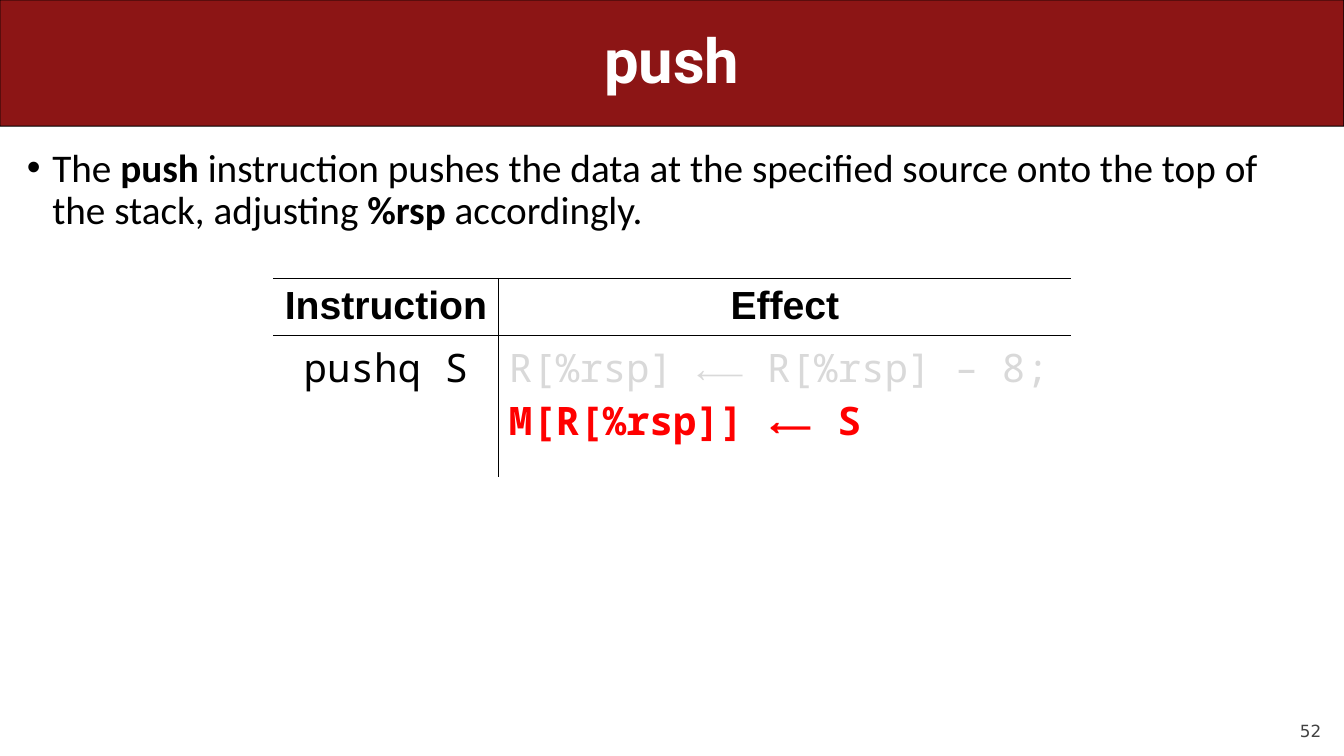
from lxml import etree
from pptx import Presentation, util as u
from pptx.dml.color import RGBColor
from pptx.enum import shapes, text
from pptx.oxml.ns import qn

BLACK, WHITE, CARDINAL = "000000", "FFFFFF", "8C1515"
GREY, RED, PALE = "424242", "FF0000", "D9D9D9"
LEFT, CENTER, RIGHT = text.PP_ALIGN.LEFT, text.PP_ALIGN.CENTER, text.PP_ALIGN.RIGHT
TOP, MIDDLE, BOTTOM = text.MSO_ANCHOR.TOP, text.MSO_ANCHOR.MIDDLE, text.MSO_ANCHOR.BOTTOM


def color(hex_code):
    return RGBColor.from_string(hex_code)


def style_font(font, name, size, hex_code, bold=False):
    font.name, font.size, font.bold = name, u.Pt(size), bold
    font.color.rgb = color(hex_code)


def add_runs(paragraph, pieces, name, size, hex_code):
    """Add (wording, bold) pieces that share one font."""
    for wording, bold in pieces:
        run = paragraph.add_run()
        run.text = wording
        style_font(run.font, name, size, hex_code, bold)


def add_text_box(slide, left, top, width, height, anchor, align):
    """Add a wrapping text box and return its first paragraph."""
    box = slide.shapes.add_textbox(u.Cm(left), u.Cm(top), u.Cm(width), u.Cm(height))
    box.text_frame.word_wrap = True
    box.text_frame.vertical_anchor = anchor
    paragraph = box.text_frame.paragraphs[0]
    paragraph.alignment = align
    return box.text_frame, paragraph


def add_banner(slide, width):
    banner = slide.shapes.add_shape(
        shapes.MSO_SHAPE.ROUNDED_RECTANGLE, 0, 0, width, u.Cm(3.18))
    banner.adjustments[0] = 0.001
    banner.shadow.inherit = False
    banner.fill.solid()
    banner.fill.fore_color.rgb = color(CARDINAL)
    banner.line.color.rgb = color(BLACK)
    banner.line.width = u.Pt(0.75)


def add_title(slide, wording):
    _, paragraph = add_text_box(slide, 1.27, 0, 31.32, 3.18, MIDDLE, CENTER)
    paragraph.line_spacing = 0.9
    add_runs(paragraph, [(wording, True)], "Roboto", 44, WHITE)


def add_bullet(slide, pieces):
    _, paragraph = add_text_box(slide, 0.43, 3.61, 32.82, 14.4, TOP, LEFT)
    paragraph.line_spacing = 0.9
    paragraph.space_before = u.Pt(10)
    properties = paragraph._p.get_or_add_pPr()
    properties.set("marL", str(u.Cm(0.64)))
    properties.set("indent", str(-u.Cm(0.64)))
    etree.SubElement(properties, qn("a:buFont"), typeface="Arial")
    etree.SubElement(properties, qn("a:buChar"), char="•")
    add_runs(paragraph, pieces, "Calibri", 28, BLACK)


def add_slide_number(slide, number):
    frame, paragraph = add_text_box(slide, 30.48, 17.65, 2.82, 1.02, BOTTOM, RIGHT)
    frame.margin_left = frame.margin_right = frame.margin_top = frame.margin_bottom = 0
    paragraph.space_before = u.Pt(5)
    add_runs(paragraph, [(number, False)], "DejaVu Sans", 12, GREY)


def set_borders(cell, ruled_sides):
    """Draw the sides named among L, R, T, B and clear the others."""
    properties = cell._tc.get_or_add_tcPr()
    for side in "LRTB":
        line = etree.SubElement(properties, qn(f"a:ln{side}"), w=str(u.Pt(1)))
        if side in ruled_sides:
            fill = etree.SubElement(line, qn("a:solidFill"))
            etree.SubElement(fill, qn("a:srgbClr"), val=BLACK)
        else:
            etree.SubElement(line, qn("a:noFill"))


def fill_cell(cell, lines, font_name, align, ruled_sides):
    """Write (wording, colour, bold) lines into a ruled cell without fill."""
    set_borders(cell, ruled_sides)
    cell.fill.background()
    cell.text_frame.text = "\n".join(line[0] for line in lines)
    for paragraph, (_, hex_code, bold) in zip(cell.text_frame.paragraphs, lines):
        paragraph.alignment = align
        style_font(paragraph.runs[0].font, font_name, 28, hex_code, bold)


def add_instruction_table(slide):
    column_widths, row_heights = (5.69, 14.42), (1.36, 3.56)
    table = slide.shapes.add_table(
        2, 2, u.Cm(6.88), u.Cm(7.02),
        u.Cm(sum(column_widths)), u.Cm(sum(row_heights))).table
    table.first_row = table.horz_banding = False
    for column, width in zip(table.columns, column_widths):
        column.width = u.Cm(width)
    for row, height in zip(table.rows, row_heights):
        row.height = u.Cm(height)

    for index, (heading, sides) in enumerate((("Instruction", "RTB"), ("Effect", "LTB"))):
        fill_cell(table.cell(0, index), [(heading, BLACK, True)], "Arial", CENTER, sides)
    mono = "Noto Sans Mono"
    fill_cell(table.cell(1, 0), [("pushq S", BLACK, False)], mono, CENTER, "RT")
    effects = [("R[%rsp] ⟵ R[%rsp] – 8;", PALE, False), ("M[R[%rsp]] ⟵ S", RED, True)]
    fill_cell(table.cell(1, 1), effects, mono, LEFT, "LT")


def main():
    presentation = Presentation()
    presentation.slide_width, presentation.slide_height = u.Cm(33.87), u.Cm(19.05)
    slide = presentation.slides.add_slide(presentation.slide_layouts[6])
    add_slide_number(slide, "52")
    add_banner(slide, presentation.slide_width)
    add_title(slide, "push")
    add_bullet(slide, [
        ("The ", False),
        ("push ", True),
        ("instruction pushes the data at the specified source onto the top of "
         "the stack, adjusting ", False),
        ("%rsp", True),
        (" accordingly.", False),
    ])
    add_instruction_table(slide)
    presentation.save("out.pptx")


if __name__ == "__main__":
    main()
